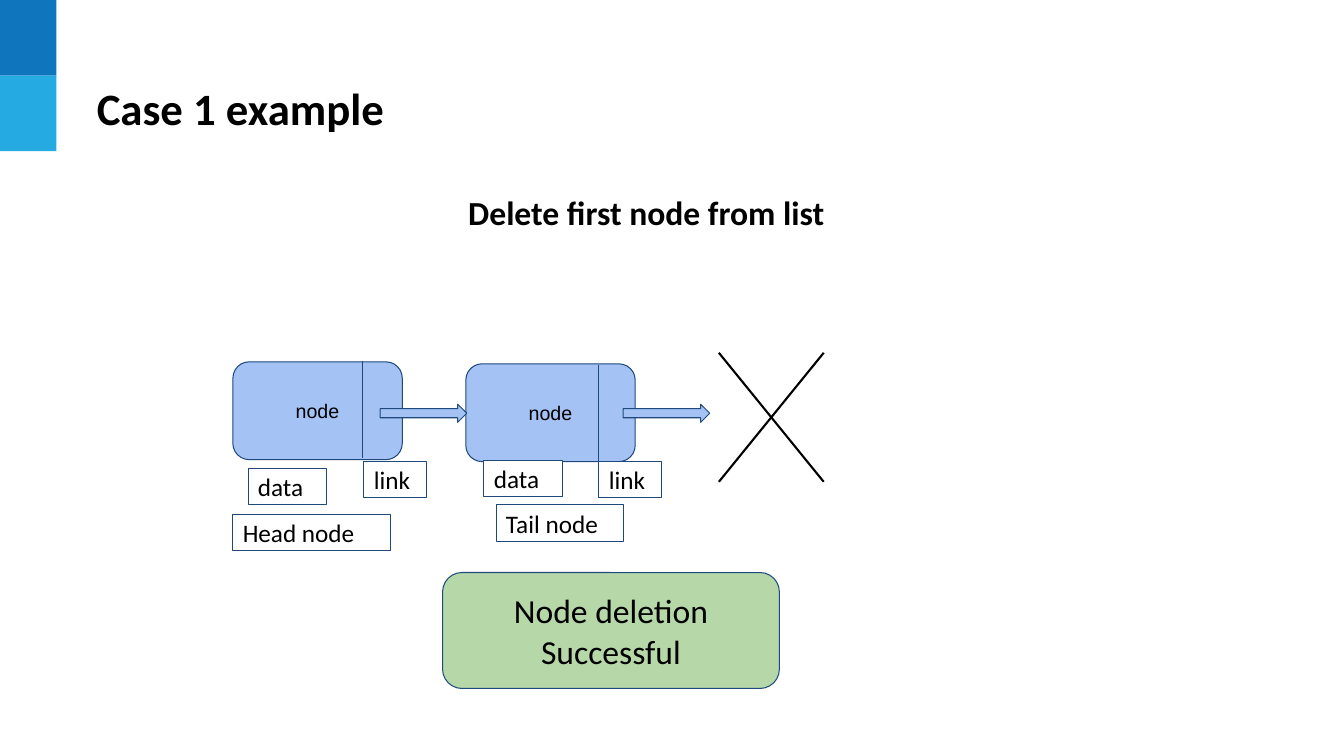
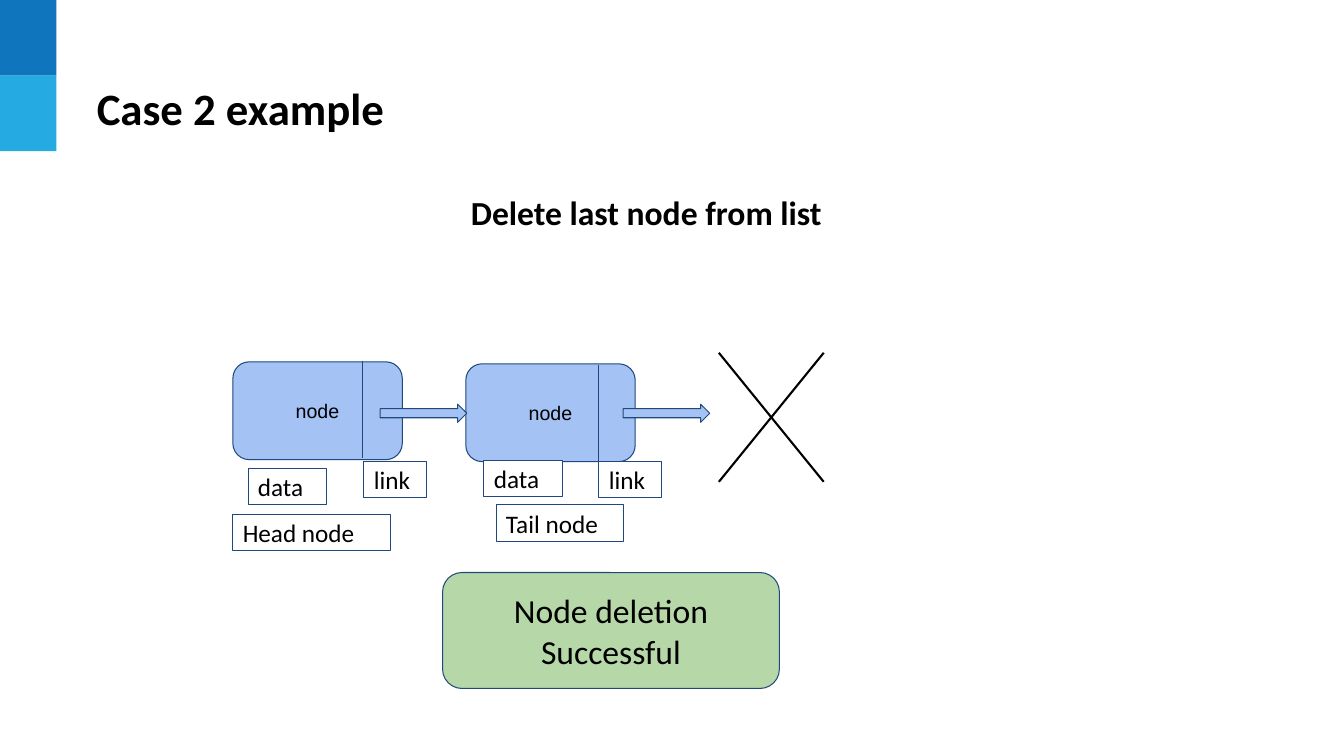
from dataclasses import dataclass

from lxml import etree
from pptx import Presentation
from pptx.dml.color import RGBColor
from pptx.enum import shapes, text
from pptx.oxml import ns
from pptx.util import Inches, Pt

COLORS = {
    "band_dark": "0F75BD",
    "band_light": "25AAE2",
    "node": "A4C2F4",
    "outline": "1F497D",
    "success": "B6D7A8",
    "label": "FFFFFF",
    "ink": "000000",
}
LEFT, CENTER = text.PP_ALIGN.LEFT, text.PP_ALIGN.CENTER
TITLE_ONLY = 5
BAND_WIDTH, BAND_HEIGHT = 0.56, 0.75
NODE_WIDTH, NODE_HEIGHT = 1.68, 0.97
DIVIDER_HEIGHT = 0.96
ARROW_TOP, ARROW_WIDTH, ARROW_HEIGHT = 4.01, 0.86, 0.18
LABEL_HEIGHT = 0.36


@dataclass(frozen=True)
class Case:
    title: str
    heading: str


@dataclass(frozen=True)
class ListNode:
    left: float
    top: float
    divider_left: float
    divider_top: float
    arrow_left: float


@dataclass(frozen=True)
class Label:
    wording: str
    left: float
    top: float
    width: float


@dataclass(frozen=True)
class TextStyle:
    size: float
    font: str = "Calibri"
    bold: bool = False
    align: text.PP_ALIGN = CENTER


TITLE_STYLE = TextStyle(32, bold=True, align=LEFT)
HEADING_STYLE = TextStyle(24, bold=True)
NODE_STYLE = TextStyle(14, "Arial")
LABEL_STYLE = TextStyle(18, align=LEFT)
RESULT_STYLE = TextStyle(24)

CASES = [
    Case("Case 1 example", "Delete first node from list"),
    Case("Case 2 example", "Delete last node from list"),
]
NODES = [
    ListNode(2.31, 3.59, 3.6, 3.58, 3.77),
    ListNode(4.62, 3.61, 5.94, 3.62, 6.18),
]
LABELS = [
    Label("Tail node", 4.92, 5.01, 1.26),
    Label("link", 3.61, 4.58, 0.62),
    Label("link", 5.94, 4.58, 0.62),
    Label("data", 4.8, 4.57, 0.78),
    Label("Head node", 2.31, 5.1, 1.56),
    Label("data", 2.46, 4.65, 0.78),
]


def rgb(name: str) -> RGBColor:
    return RGBColor.from_string(COLORS[name])


def write(frame, wording: str, style: TextStyle, anchor=text.MSO_ANCHOR.MIDDLE) -> None:
    frame.text = wording
    frame.word_wrap = True
    frame.auto_size = text.MSO_AUTO_SIZE.NONE
    frame.vertical_anchor = anchor
    frame.margin_left = frame.margin_right = Inches(0.1)
    frame.margin_top = frame.margin_bottom = Inches(0.1)
    paragraph = frame.paragraphs[0]
    paragraph.alignment = style.align
    paragraph.font.name = style.font
    paragraph.font.size = Pt(style.size)
    paragraph.font.bold = style.bold
    paragraph.font.color.rgb = rgb("ink")


def add_block(slide, preset, left: float, top: float, width: float, height: float,
              fill: str, outlined: bool = True):
    block = slide.shapes.add_shape(
        preset, Inches(left), Inches(top), Inches(width), Inches(height))
    block.shadow.inherit = False
    block.fill.solid()
    block.fill.fore_color.rgb = rgb(fill)
    if outlined:
        block.line.color.rgb = rgb("outline")
        block.line.width = Pt(0.75)
    else:
        block.line.fill.background()
    return block


def add_line(parent, start: tuple[float, float], end: tuple[float, float],
             color: str, weight: float) -> None:
    line = parent.shapes.add_connector(
        shapes.MSO_CONNECTOR.STRAIGHT, *map(Inches, start + end))
    line.line.color.rgb = rgb(color)
    line.line.width = Pt(weight)
    etree.SubElement(line.element.spPr, ns.qn("a:effectLst"))


def add_frame(slide, case: Case) -> None:
    for row, color in enumerate(("band_dark", "band_light")):
        add_block(slide, shapes.MSO_SHAPE.RECTANGLE, 0, row * BAND_HEIGHT,
                  BAND_WIDTH, BAND_HEIGHT, color, outlined=False)
    title = slide.shapes.title
    title.left, title.top = Inches(0.76), Inches(0.62)
    title.width, title.height = Inches(9.47), Inches(0.9)
    write(title.text_frame, case.title, TITLE_STYLE)
    title.text_frame.margin_left = Inches(0.2)
    title.text_frame.margin_top = title.text_frame.margin_bottom = Inches(0.05)
    heading = slide.shapes.add_textbox(
        Inches(4.17), Inches(1.8), Inches(4.48), Inches(0.61))
    write(heading.text_frame, case.heading, HEADING_STYLE, text.MSO_ANCHOR.TOP)


def add_linked_list(slide) -> None:
    for node in NODES:
        body = add_block(slide, shapes.MSO_SHAPE.ROUNDED_RECTANGLE, node.left, node.top,
                         NODE_WIDTH, NODE_HEIGHT, "node")
        write(body.text_frame, "node", NODE_STYLE)
    for node in NODES:
        add_line(slide, (node.divider_left, node.divider_top),
                 (node.divider_left, node.divider_top + DIVIDER_HEIGHT), "outline", 0.75)
        add_block(slide, shapes.MSO_SHAPE.RIGHT_ARROW, node.arrow_left, ARROW_TOP,
                  ARROW_WIDTH, ARROW_HEIGHT, "node")
    for label in LABELS:
        tag = add_block(slide, shapes.MSO_SHAPE.RECTANGLE, label.left, label.top,
                        label.width, LABEL_HEIGHT, "label")
        write(tag.text_frame, label.wording, LABEL_STYLE)


def add_end_cross(slide) -> None:
    left, right, top, bottom = 7.13, 8.17, 3.5, 4.78
    cross = slide.shapes.add_group_shape()
    add_line(cross, (right, top), (left, bottom), "ink", 1.5)
    add_line(cross, (right, bottom), (left, top), "ink", 1.5)


def add_result(slide) -> None:
    result = add_block(slide, shapes.MSO_SHAPE.ROUNDED_RECTANGLE,
                       4.39, 5.68, 3.34, 1.15, "success")
    write(result.text_frame, "Node deletion Successful", RESULT_STYLE)


def main() -> None:
    deck = Presentation()
    deck.slide_width, deck.slide_height = Inches(13.33), Inches(7.5)
    for case in CASES:
        slide = deck.slides.add_slide(deck.slide_layouts[TITLE_ONLY])
        add_frame(slide, case)
        add_linked_list(slide)
        add_end_cross(slide)
        add_result(slide)
    deck.save("out.pptx")


main()
